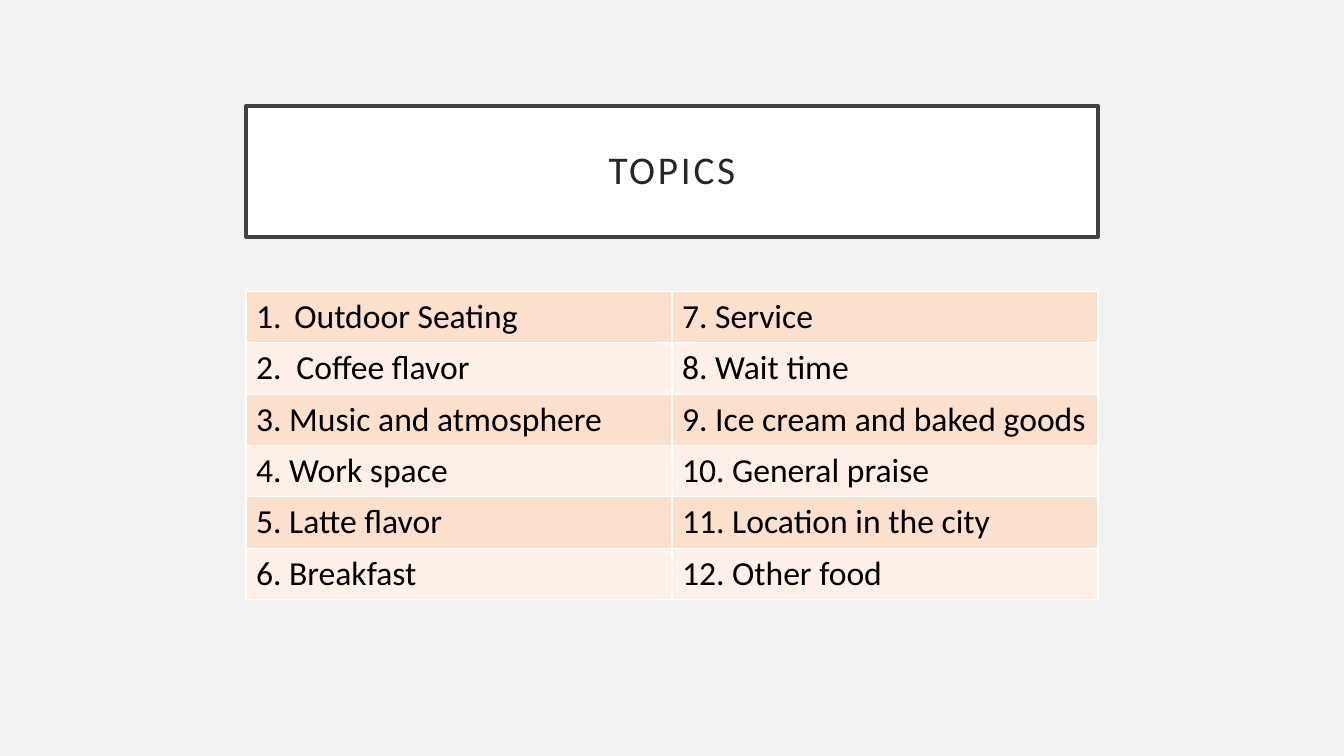
"""Build a slide with a boxed title above a two-column table of numbered topics."""
from dataclasses import dataclass

from lxml import etree
from pptx import Presentation
from pptx import util as u
from pptx.dml.color import RGBColor
from pptx.enum import text
from pptx.oxml.ns import qn


@dataclass(frozen=True)
class Theme:
    font: str = "Calibri"
    title_size: int = 28
    table_size: int = 24
    background: str = "F2F2F2"
    box: str = "FFFFFF"
    border: str = "404040"
    title: str = "262626"
    body: str = "000000"
    bands: tuple = ("FBE0CD", "FDF0E8")


def paint(fill, color):
    fill.solid()
    fill.fore_color.rgb = RGBColor.from_string(color)


def set_font(paragraph, size, color):
    paragraph.font.name = theme.font
    paragraph.font.size = u.Pt(size)
    paragraph.font.color.rgb = RGBColor.from_string(color)


theme = Theme()
left, width = u.Inches(2.44), u.Inches(8.45)
row_height = u.Inches(0.51)
topics = [
    ("Outdoor Seating", "7. Service"),
    ("2.\tCoffee flavor", "8. Wait time"),
    ("3. Music and atmosphere", "9. Ice cream and baked goods"),
    ("4. Work space", "10. General praise"),
    ("5. Latte flavor", "11. Location in the city"),
    ("6. Breakfast", "12. Other food"),
]
hanging_indents = {(0, 0): 0.38, (1, 0): 0.4}

presentation = Presentation()
presentation.slide_width = u.Inches(13.33)
presentation.slide_height = u.Inches(7.5)
slide = presentation.slides.add_slide(presentation.slide_layouts[5])
paint(slide.background.fill, theme.background)

title = slide.shapes.title
title.left, title.top = left, u.Inches(1.05)
title.width, title.height = width, u.Inches(1.3)
paint(title.fill, theme.box)
paint(title.line.fill, theme.border)
title.line.width = u.Pt(2.5)
frame = title.text_frame
frame.text = "TOPICS"
frame.word_wrap = True
frame.auto_size = text.MSO_AUTO_SIZE.NONE
frame.vertical_anchor = text.MSO_ANCHOR.MIDDLE
frame.margin_left = frame.margin_right = u.Inches(0.2)
frame.margin_top = frame.margin_bottom = u.Inches(0.2)
paragraph = frame.paragraphs[0]
paragraph.alignment = text.PP_ALIGN.CENTER
paragraph.line_spacing = 0.9
set_font(paragraph, theme.title_size, theme.title)
paragraph.runs[0].font._element.set("spc", "200")

table = slide.shapes.add_table(
    len(topics), 2, left, u.Inches(2.89), width, row_height * len(topics)
).table
table.first_row = False
table.horz_banding = False
for row, entries in enumerate(topics):
    for column, entry in enumerate(entries):
        cell = table.cell(row, column)
        paint(cell.fill, theme.bands[row % 2])
        cell.text = entry
        paragraph = cell.text_frame.paragraphs[0]
        if (row, column) in hanging_indents:
            indent = u.Inches(hanging_indents[row, column])
            properties = paragraph._p.get_or_add_pPr()
            properties.set("marL", str(indent))
            properties.set("indent", str(-indent))
            if row == 0:
                etree.SubElement(properties, qn("a:buFont"), typeface="+mj-lt")
                etree.SubElement(properties, qn("a:buAutoNum"), type="arabicPeriod")
        set_font(paragraph, theme.table_size, theme.body)

presentation.save("out.pptx")
